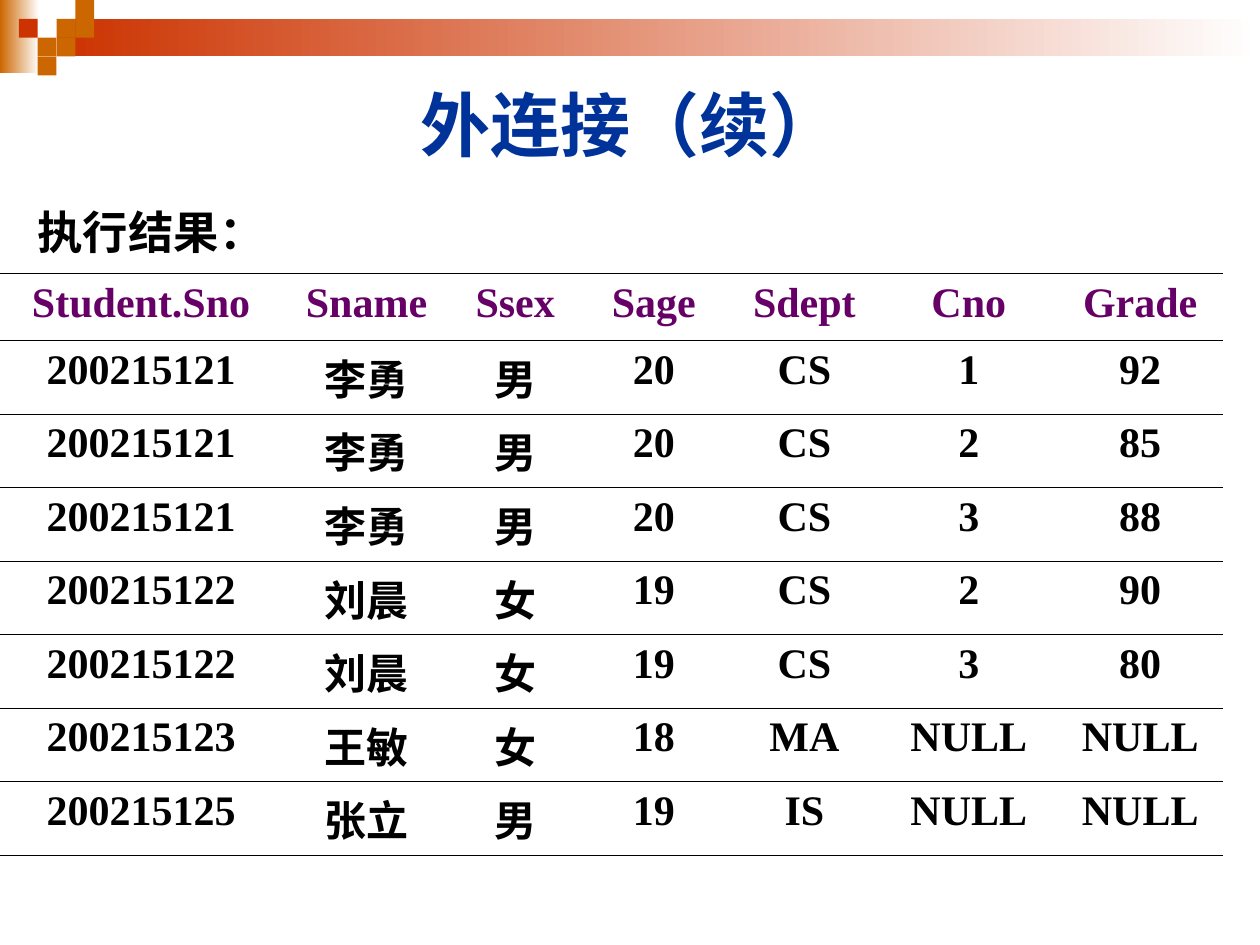
from lxml import etree
from pptx import Presentation
from pptx import util as u
from pptx.dml.color import RGBColor
from pptx.enum import shapes, text
from pptx.oxml.ns import qn

COLUMN_WIDTHS = [5.69, 3.4, 2.59, 3, 3.07, 3.56, 3.35]
ROW_HEIGHT = 1.35
HANGING_INDENT = 0.97
HEADER = ["Student.Sno", "Sname", "Ssex", "Sage", "Sdept", "Cno", "Grade"]
RECORDS = [
    ["200215121", "李勇", "男", "20", "CS", "1", "92"],
    ["200215121", "李勇", "男", "20", "CS", "2", "85"],
    ["200215121", "李勇", "男", "20", "CS", "3", "88"],
    ["200215122", "刘晨", "女", "19", "CS", "2", "90"],
    ["200215122", "刘晨", "女", "19", "CS", "3", "80"],
    ["200215123", "王敏", "女", "18", "MA", "NULL", "NULL"],
    ["200215125", "张立", "男", "19", "IS", "NULL", "NULL"],
]


def color(value):
    """Turn a hex string into a colour."""
    return RGBColor.from_string(value)


def set_values(target, values):
    """Set attributes of an object from a dict."""
    for name, value in values.items():
        setattr(target, name, value)


def write(paragraph, wording, size, font_name, hex_color, layout, indent=0):
    """Write one bold paragraph with its layout and hanging indent."""
    if indent:
        properties = paragraph._p.get_or_add_pPr()
        properties.set("marL", str(u.Cm(indent)))
        properties.set("indent", str(-u.Cm(indent)))
    set_values(paragraph, layout)
    run = paragraph.add_run()
    run.text = wording
    set_values(run.font, {"size": u.Pt(size), "name": font_name, "bold": True})
    run.font.color.rgb = color(hex_color)


def add_block(group, left, top, width, height, hex_color, fades=False):
    """Add a borderless rectangle, solid or fading to white at the right."""
    block = group.shapes.add_shape(
        shapes.MSO_SHAPE.RECTANGLE, *map(u.Cm, (left, top, width, height)))
    block.shadow.inherit = False
    block.line.fill.background()
    if fades:
        block.fill.gradient()
        block.fill.gradient_angle = 180
        for stop, value in zip(block.fill.gradient_stops, ("FFFFFF", hex_color)):
            stop.color.rgb = color(value)
    else:
        block.fill.solid()
        block.fill.fore_color.rgb = color(hex_color)


def add_banner(slide, left, top, width):
    """Add the fading bars and the staircase of squares along the top edge."""
    side = 0.38
    group = slide.shapes.add_group_shape()
    add_block(group, left, top, 0.79, 1.47, "CC6600", fades=True)
    add_block(group, left + 3 * side, top + side, width - 3 * side, 2 * side,
              "CC3300", fades=True)
    squares = [(3, 1), (4, 0), (4, 1), (2, 2), (1, 1), (3, 2), (2, 3)]
    for column, row in squares:
        add_block(group, left + column * side, top + row * side, side, side,
                  "CC3300" if column == row == 1 else "CC6600")


def place_title(slide, left, top, width, height):
    """Place and format the slide title."""
    title = slide.shapes.title
    set_values(title, {"left": u.Cm(left), "top": u.Cm(top),
                       "width": u.Cm(width), "height": u.Cm(height)})
    title.text_frame.vertical_anchor = text.MSO_ANCHOR.MIDDLE
    write(title.text_frame.paragraphs[0], "外连接（续）", 40, "Arial", "003399",
          {"alignment": text.PP_ALIGN.CENTER})


def add_caption(slide, left, top, width, height):
    """Add the caption above the result table."""
    caption = slide.shapes.add_textbox(*map(u.Cm, (left, top, width, height)))
    caption.text_frame.word_wrap = True
    write(caption.text_frame.paragraphs[0], "执行结果：", 25.9, "Arial", "000000",
          {"alignment": text.PP_ALIGN.JUSTIFY, "line_spacing": 0.9},
          HANGING_INDENT)


def rule_cell(cell):
    """Draw thin black lines above and below a cell and none at its sides."""
    properties = cell._tc.get_or_add_tcPr()
    for edge in ("lnL", "lnR", "lnT", "lnB"):
        line = etree.SubElement(properties, qn(f"a:{edge}"), w=str(u.Pt(0.45)))
        if edge in ("lnL", "lnR"):
            etree.SubElement(line, qn("a:noFill"))
        else:
            fill = etree.SubElement(line, qn("a:solidFill"))
            etree.SubElement(fill, qn("a:srgbClr"), val="000000")
    cell.fill.background()


def add_results(slide, left, top):
    """Add the table of joined student and course records."""
    rows = [HEADER, *RECORDS]
    table = slide.shapes.add_table(
        len(rows), len(HEADER), u.Cm(left), u.Cm(top),
        u.Cm(sum(COLUMN_WIDTHS)), u.Cm(ROW_HEIGHT * len(rows))).table
    set_values(table, {"first_row": False, "horz_banding": False})
    for column, width in zip(table.columns, COLUMN_WIDTHS):
        column.width = u.Cm(width)
    for row_index, (row, values) in enumerate(zip(table.rows, rows)):
        row.height = u.Cm(ROW_HEIGHT)
        for cell, value in zip(row.cells, values):
            rule_cell(cell)
            write(cell.text_frame.paragraphs[0], value, 24, "Times New Roman",
                  "000000" if row_index else "660066",
                  {"alignment": text.PP_ALIGN.CENTER}, HANGING_INDENT)


def main():
    """Build and save the presentation."""
    presentation = Presentation()
    set_values(presentation, {"slide_width": u.Cm(25.4),
                              "slide_height": u.Cm(19.05)})
    slide = presentation.slides.add_slide(
        presentation.slide_layouts.get_by_name("Title Only"))
    add_banner(slide, 0, 0, 25.4)
    place_title(slide, 1.27, 1.27, 22.86, 2.46)
    add_results(slide, 0, 5.51)
    add_caption(slide, 0.51, 4.11, 11.99, 1.42)
    presentation.save("out.pptx")


if __name__ == "__main__":
    main()
